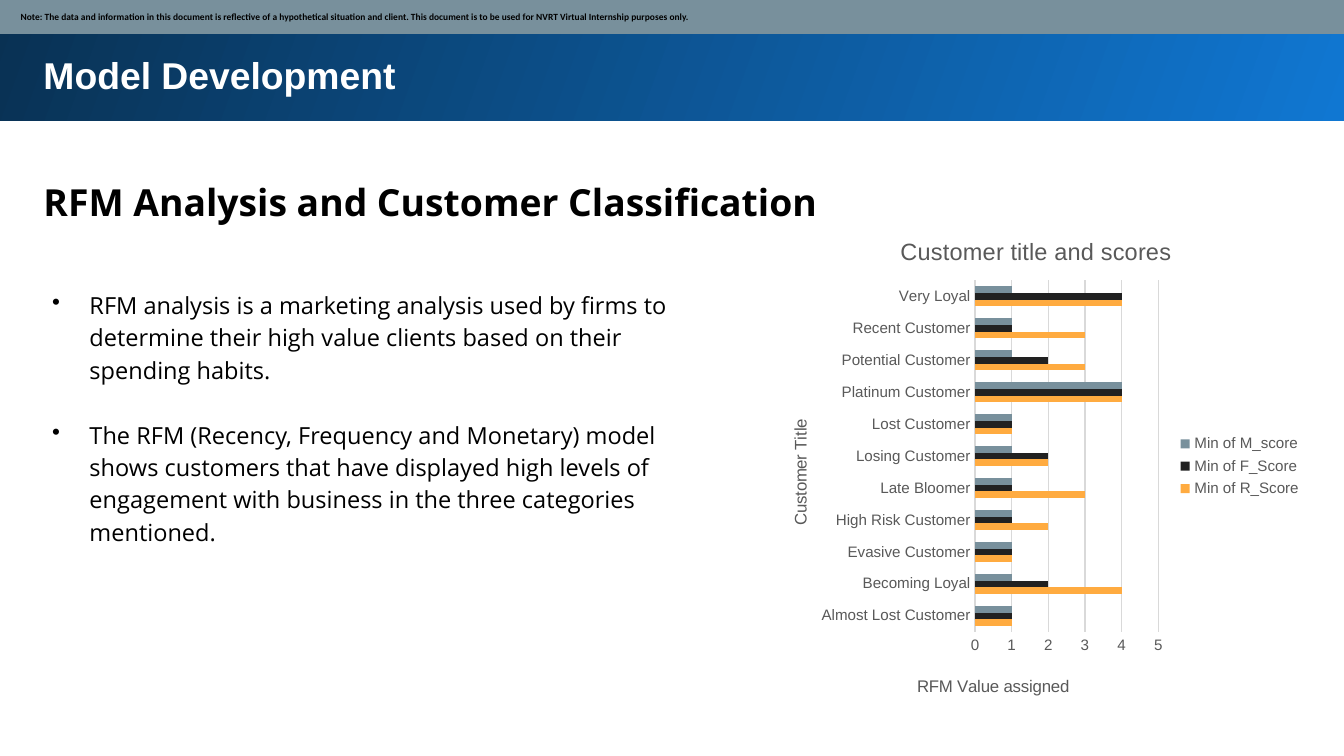
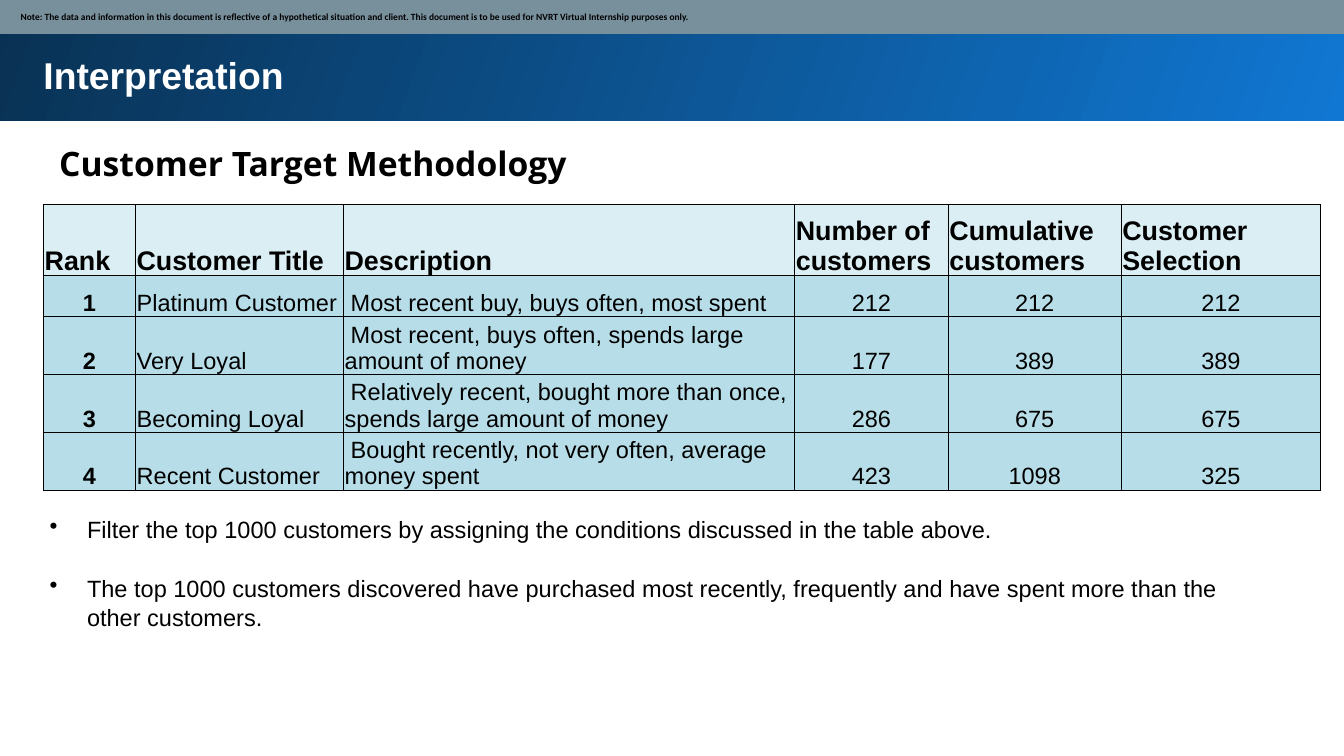
"""Build two slides on customer scores: a bar chart and a rank table."""
from dataclasses import dataclass

from lxml.etree import SubElement as Sub
from pptx import Presentation as Deck
from pptx.chart.data import CategoryChartData as Data
from pptx.dml.color import RGBColor as Rgb
from pptx.enum.chart import XL_CHART_TYPE as Kind, XL_LEGEND_POSITION as Spot, XL_TICK_MARK as Tick
from pptx.enum.shapes import MSO_SHAPE as Form
from pptx.enum.text import MSO_ANCHOR as Anchor, PP_ALIGN as Align
from pptx.oxml.ns import qn
from pptx.util import Inches, Pt


@dataclass(frozen=True)
class Theme:
    ink: str = "000000"
    white: str = "FFFFFF"
    bright: str = "1077D2"
    deep: str = "093153"
    slate: str = "78909C"
    coal: str = "212121"
    amber: str = "FFAB40"
    grey: str = "595959"
    rule: str = "D9D9D9"
    head: str = "DAEEF3"
    row: str = "B7DEE8"
    sans: str = "Arial"
    open: str = "Open Sans"
    small: str = "Calibri"
    title: float = 22.2
    sub: float = 20
    th: float = 16
    body: float = 14
    axis: float = 10
    tick: float = 9
    note: float = 5.6


T = Theme()
WIDE, HIGH = Inches(11.11), Inches(6.25)
PAD, THIN = 0.11, 0.05
NOTE = ("Note: The data and information in this document is reflective of a hypothetical situation "
        "and client. This document is to be used for NVRT Virtual Internship purposes only.")
POINTS = [
    "RFM analysis is a marketing analysis used by firms to determine their high value clients "
    "based on their spending habits.",
    "The RFM (Recency, Frequency and Monetary) model shows customers that have displayed high "
    "levels of engagement with business in the three categories mentioned.",
]
STEPS = [
    "Filter the top 1000 customers by assigning the conditions discussed in the table above.",
    "The top 1000 customers discovered have purchased most recently, frequently and have spent "
    "more than the other customers.",
]
CATS = ["Almost Lost Customer", "Becoming Loyal", "Evasive Customer", "High Risk Customer",
        "Late Bloomer", "Losing Customer", "Lost Customer", "Platinum Customer",
        "Potential Customer", "Recent Customer", "Very Loyal"]
SCORES = [
    ("Min of R_Score", T.amber, (1, 4, 1, 2, 3, 2, 1, 4, 3, 3, 4)),
    ("Min of F_Score", T.coal, (1, 2, 1, 1, 1, 2, 1, 4, 2, 1, 4)),
    ("Min of M_score", T.slate, (1, 1, 1, 1, 1, 1, 1, 4, 1, 1, 1)),
]
RANKS = [
    ("Rank", "Customer Title", "Description", "Number of customers", "Cumulative customers",
     "Customer Selection"),
    ("1", "Platinum Customer", "Most recent buy, buys often, most spent", "212", "212", "212"),
    ("2", "Very Loyal", "Most recent, buys often, spends large amount of money", "177", "389", "389"),
    ("3", "Becoming Loyal", "Relatively recent, bought more than once, spends large amount of money",
     "286", "675", "675"),
    ("4", "Recent Customer", "Bought recently, not very often, average money spent",
     "423", "1098", "325"),
]
COLS = (6.84, 15.48, 33.57, 11.43, 12.87, 14.85)
ROWS = (9.44, 5.44, 7.6, 7.6, 7.6)


def col(n):
    """Turn hundredths of the slide's width into a length."""
    return round(WIDE * n / 100)


def row(n):
    """Turn hundredths of the slide's height into a length."""
    return round(HIGH * n / 100)


def box(x, y, w, h):
    """Turn a place on the grid into left, top, width and height."""
    return col(x), row(y), col(w), row(h)


def style(font, face, size, color, bold=False):
    """Set the face, size, colour and weight of a font."""
    font.name, font.size, font.bold = face, Pt(size), bold
    font.color.rgb = Rgb.from_string(color)


def inset(frame, left, top, right, base):
    """Set the four margins of a text frame or a cell, in inches."""
    frame.margin_left, frame.margin_top = Inches(left), Inches(top)
    frame.margin_right, frame.margin_bottom = Inches(right), Inches(base)


def text(slide, place, lines, look, pad=PAD, lead=None):
    """Add a wrapped text box with one paragraph a line and return its paragraphs."""
    frame = slide.shapes.add_textbox(*box(*place)).text_frame
    frame.word_wrap = True
    inset(frame, pad, pad, pad, pad)
    frame.text = "\n".join(lines)
    for para in frame.paragraphs:
        para.line_spacing = lead
        style(para.runs[0].font, *look)
    return frame.paragraphs


def bullets(slide, place, lines, look, pad, lead, gap):
    """Add a bullet list with a gap between its items."""
    paras = text(slide, place, lines, look, pad, lead)
    for para in paras:
        props = para._p.get_or_add_pPr()
        props.set("marL", str(col(2.79)))
        props.set("indent", str(-col(2.79)))
        if para is not paras[-1]:
            para.space_after = Pt(gap)
        Sub(props, qn("a:buChar")).set("char", "•")


def band(slide, place):
    """Add a plain rectangle with no line and no shadow."""
    shape = slide.shapes.add_shape(Form.RECTANGLE, *box(*place))
    shape.shadow.inherit = False
    shape.line.fill.background()
    return shape


def frame(deck, title):
    """Add a blank slide with the blue band, its title and the note strip."""
    slide = deck.slides.add_slide(deck.slide_layouts[6])
    fill = band(slide, (0, 0, 100, 16)).fill
    fill.gradient()
    fill.gradient_angle = 160
    for stop, tint, at in zip(fill.gradient_stops, (T.bright, T.deep), (0, 1)):
        stop.color.rgb, stop.position = Rgb.from_string(tint), at
    text(slide, (2.25, 5.12, 93.7, 9.6), [title], (T.sans, T.title, T.white, True))
    strip = band(slide, (0, 0, 100, 4.5))
    strip.fill.solid()
    strip.fill.fore_color.rgb = Rgb.from_string(T.slate)
    body = strip.text_frame
    body.word_wrap, body.vertical_anchor = True, Anchor.MIDDLE
    inset(body, 0.17, THIN, THIN, THIN)
    body.text = NOTE
    para = body.paragraphs[0]
    para.alignment = Align.LEFT
    style(para.runs[0].font, T.small, T.note, T.ink, True)
    return slide


def lay(node, **parts):
    """Fix a chart part at shares of the chart's size."""
    old = node.find(qn("c:layout"))
    if old is not None:
        node.remove(old)
    spot = node.makeelement(qn("c:layout"), {})
    node.insert(0 if node.find(qn("c:tx")) is None else 1, spot)
    man = Sub(spot, qn("c:manualLayout"))
    if "w" in parts:
        Sub(man, qn("c:layoutTarget")).set("val", "inner")
    for key in ("x", "y"):
        Sub(man, qn(f"c:{key}Mode")).set("val", "edge")
    for key, val in parts.items():
        Sub(man, qn(f"c:{key}")).set("val", str(val))


def label(title, words, size):
    """Write a chart or axis title."""
    title.text_frame.text = words
    style(title.text_frame.paragraphs[0].runs[0].font, T.sans, size, T.grey)


def scale(axis, words, x, y):
    """Style an axis and place its title."""
    axis.major_tick_mark = axis.minor_tick_mark = Tick.NONE
    style(axis.tick_labels.font, T.sans, T.tick, T.grey)
    label(axis.axis_title, words, T.axis)
    lay(axis.axis_title.element, x=x, y=y)


def rule(line):
    """Draw a thin pale line."""
    line.color.rgb, line.width = Rgb.from_string(T.rule), Pt(0.75)


def bars(slide, place):
    """Add the bar chart of scores."""
    data = Data()
    data.categories = CATS
    for name, _, vals in SCORES:
        data.add_series(name, vals)
    chart = slide.shapes.add_chart(Kind.BAR_CLUSTERED, *box(*place), data).chart
    style(chart.font, T.sans, T.axis, T.ink)
    label(chart.chart_title, "Customer title and scores", T.body)
    chart.has_legend = True
    chart.legend.position = Spot.RIGHT
    chart.legend.include_in_layout = False
    style(chart.legend.font, T.sans, T.tick, T.grey)
    plot = chart.plots[0]
    plot.gap_width, plot.vary_by_categories = 182, False
    for part, (_, tint, _) in zip(plot.series, SCORES):
        part.format.fill.solid()
        part.format.fill.fore_color.rgb = Rgb.from_string(tint)
    cat, val = chart.category_axis, chart.value_axis
    scale(cat, "Customer Title", 0.05, 0.4)
    cat.axis_title.element.find(".//" + qn("a:bodyPr")).set("rot", "-5400000")
    cat.has_major_gridlines = False
    rule(cat.format.line)
    scale(val, "RFM Value assigned", 0.28, 0.91)
    val.minimum_scale, val.maximum_scale, val.major_unit = 0, 5, 1
    val.format.line.fill.background()
    rule(val.major_gridlines.format.line)
    lay(chart.element.find(".//" + qn("c:plotArea")), x=0.39, y=0.13, w=0.33, h=0.7)


def edge(cell):
    """Draw a thin dark line on all four sides of a cell."""
    props = cell._tc.get_or_add_tcPr()
    for side in "LRTB":
        line = Sub(props, qn(f"a:ln{side}"), w=str(Pt(0.5)))
        Sub(Sub(line, qn("a:solidFill")), qn("a:srgbClr"), val=T.ink)


def table(slide, x, y):
    """Add the table of ranks."""
    place = box(x, y, sum(COLS), sum(ROWS))
    grid = slide.shapes.add_table(len(ROWS), len(COLS), *place).table
    grid.first_row = grid.horz_banding = False
    for part, wide in zip(grid.columns, COLS):
        part.width = col(wide)
    for r, (part, high) in enumerate(zip(grid.rows, ROWS)):
        part.height = row(high)
        for c, cell in enumerate(part.cells):
            edge(cell)
            cell.fill.solid()
            cell.fill.fore_color.rgb = Rgb.from_string(T.row if r else T.head)
            cell.vertical_anchor = Anchor.BOTTOM
            inset(cell, 0.01, 0.01, 0.01, 0)
            cell.text = RANKS[r][c]
            para = cell.text_frame.paragraphs[0]
            para.alignment = Align.CENTER if r and c not in (1, 2) else Align.LEFT
            if r and c == 2:
                para._p.get_or_add_pPr().set("indent", str(Inches(THIN)))
            style(para.runs[0].font, T.sans, T.body if r else T.th, T.ink, r == 0 or c == 0)


def main():
    """Build both slides and save them."""
    deck = Deck()
    deck.slide_width, deck.slide_height = WIDE, HIGH
    model = frame(deck, "Model Development")
    text(model, (2.25, 21.12, 93.7, 10.08), ["RFM Analysis and Customer Classification"],
         (T.open, T.title, T.ink, True), lead=1.15)
    bullets(model, (2.88, 36.16, 48.43, 37.92), POINTS, (T.open, T.body, T.ink), PAD, 1.15, 19.3)
    bars(model, (56.44, 28.48, 41.31, 66.4))
    target = frame(deck, "Interpretation")
    text(target, (3.96, 18.08, 82.63, 7.04), ["Customer Target Methodology"],
         (T.open, T.sub, T.ink, True), THIN)
    table(target, 3.24, 27.04)
    bullets(target, (3.24, 67.2, 91.27, 16.64), STEPS, (T.sans, T.body, T.ink), THIN, 1.05, 17)
    deck.save("out.pptx")


if __name__ == "__main__":
    main()
